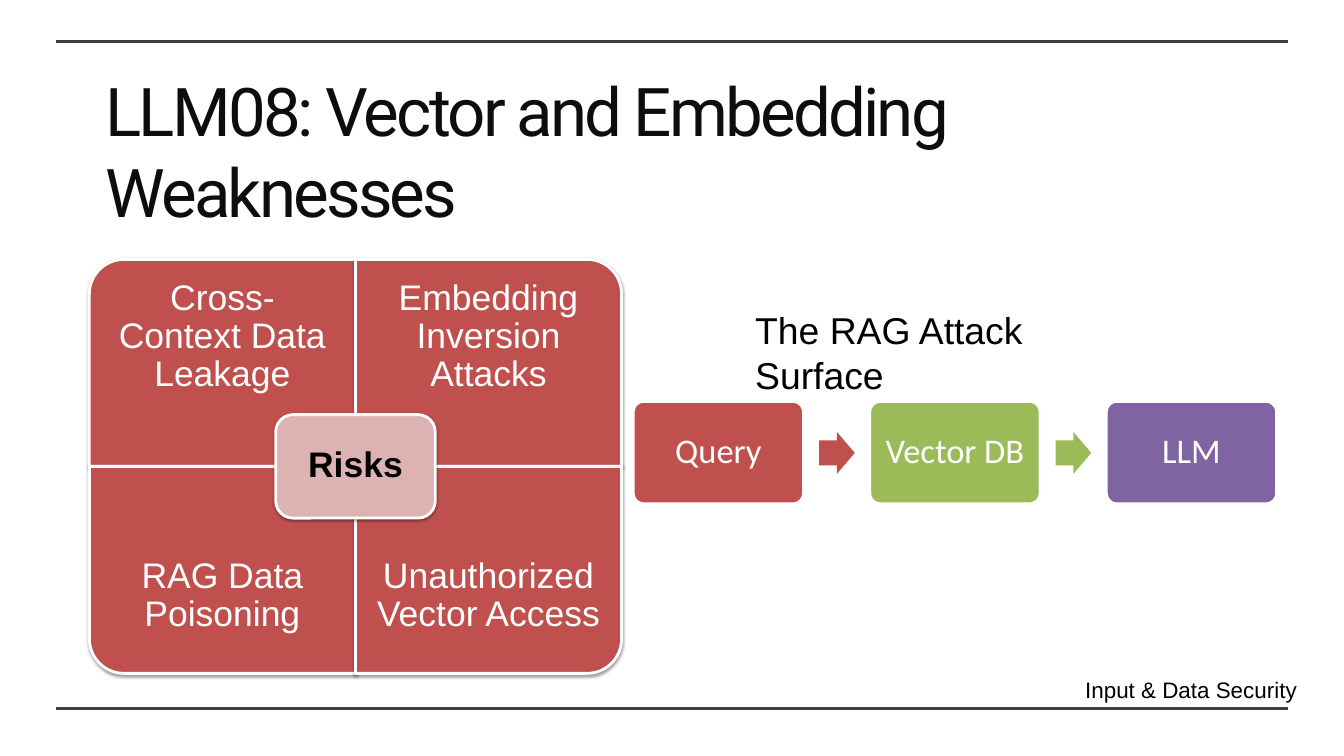
from lxml import etree
from pptx import Presentation
from pptx.dml.color import RGBColor
from pptx.enum.shapes import MSO_CONNECTOR, MSO_SHAPE
from pptx.enum.text import MSO_ANCHOR, PP_ALIGN
from pptx.oxml import parse_xml
from pptx.oxml.ns import nsdecls, qn
from pptx.util import Inches, Pt

BLACK = RGBColor(0x00, 0x00, 0x00)
INK = RGBColor(0x0D, 0x0D, 0x0D)
RULE_GRAY = RGBColor(0x40, 0x40, 0x40)
WHITE = RGBColor(0xFF, 0xFF, 0xFF)
RED = RGBColor(0xC0, 0x50, 0x4D)
PINK = RGBColor(0xDC, 0xB3, 0xB2)
GREEN = RGBColor(0x9B, 0xBB, 0x59)
PURPLE = RGBColor(0x80, 0x64, 0xA2)

STRAIGHT = MSO_CONNECTOR.STRAIGHT
ONE_ROUND = MSO_SHAPE.ROUND_1_RECTANGLE
ROUNDED = MSO_SHAPE.ROUNDED_RECTANGLE
ARROW = MSO_SHAPE.RIGHT_ARROW
MIDDLE = MSO_ANCHOR.MIDDLE
CENTER = PP_ALIGN.CENTER

SHADOW = (
    f'<a:outerShdw {nsdecls("a")} blurRad="40000" dist="20000" dir="5400000" '
    'rotWithShape="0"><a:srgbClr val="000000"><a:alpha val="38000"/>'
    '</a:srgbClr></a:outerShdw>'
)


class SlideBuilder:
    title_font = "Roboto"
    body_font = "Arial"
    flow_font = "Calibri"

    def __init__(self, page):
        self.page = page

    def rule(self, top):
        line = self.page.shapes.add_connector(
            STRAIGHT, Inches(0.83), Inches(top), Inches(19.17), Inches(top))
        line.line.color.rgb = RULE_GRAY
        line.line.width = Pt(3)
        etree.SubElement(line._element.spPr, qn("a:effectLst"))

    def shape(self, kind, left, top, width, height, fill, outline=None,
              shadow=False, adjustments=()):
        shape = self.page.shapes.add_shape(
            kind, Inches(left), Inches(top), Inches(width), Inches(height))
        for index, value in enumerate(adjustments):
            shape.adjustments[index] = value
        shape.fill.solid()
        shape.fill.fore_color.rgb = fill
        if outline:
            shape.line.color.rgb = WHITE
            shape.line.width = Pt(outline)
        else:
            shape.line.fill.background()
        shape.shadow.inherit = False
        if shadow:
            effects = shape._element.spPr.find(qn("a:effectLst"))
            effects.append(parse_xml(SHADOW))
        return shape

    def set_text(self, shape, text, size, color, font=body_font, bold=False):
        """Put one paragraph in a shape and return its run."""
        shape.text_frame.text = text
        span = shape.text_frame.paragraphs[0].runs[0]
        span.font.size = Pt(size)
        span.font.name = font
        span.font.bold = bold
        span.font.color.rgb = color
        return span

    def label(self, shape, text, size, color, inset, **style):
        """Set centred text with an equal inset on all sides."""
        self.set_text(shape, text, size, color, **style)
        frame = shape.text_frame
        frame.word_wrap = True
        frame.vertical_anchor = MIDDLE
        frame.margin_left = frame.margin_right = Inches(inset)
        frame.margin_top = frame.margin_bottom = Inches(inset)
        frame.paragraphs[0].alignment = CENTER
        frame.paragraphs[0].line_spacing = 0.9

    def text_box(self, left, top, width, height, wrap=True):
        box = self.page.shapes.add_textbox(
            Inches(left), Inches(top), Inches(width), Inches(height))
        box.text_frame.word_wrap = wrap
        return box

    def title(self, text):
        box = self.text_box(1.57, 1.03, 15.18, 2.42)
        frame = box.text_frame
        frame.margin_left = frame.margin_right = 0
        frame.margin_top = frame.margin_bottom = 0
        span = self.set_text(box, text, 72, INK, font=self.title_font)
        span.font._element.set("spc", "-300")

    def risk_matrix(self, center, risks):
        left, top, width, height = 1.33, 3.86, 3.96, 3.08
        text_height = 0.75 * height
        # Each turn puts the rounded corner on the outside of the matrix.
        turns = (270, 0, 180, 90)
        for index, (risk, turn) in enumerate(zip(risks, turns)):
            row, column = divmod(index, 2)
            x, y = left + column * width, top + row * height
            w, h = (height, width) if turn in (90, 270) else (width, height)
            tile = self.shape(ONE_ROUND, x + (width - w) / 2,
                              y + (height - h) / 2, w, h, RED, 3, True)
            tile.rotation = turn
            text_top = y + row * (height - text_height)
            box = self.text_box(x, text_top, width, text_height)
            self.label(box, risk, 38, WHITE, 0.3)
        hub_width, hub_height = 0.6 * width, height / 2
        hub = self.shape(ROUNDED, left + width - hub_width / 2,
                         top + height - hub_height / 2,
                         hub_width, hub_height, PINK, 3, True)
        self.label(hub, center, 38, BLACK, 0.16, bold=True)

    def flow(self, steps):
        left, pitch = 9.43, 3.52
        for index, (name, color) in enumerate(steps):
            x = left + index * pitch
            step = self.shape(ROUNDED, x, 5.98, 2.52, 1.51, color, 2,
                              adjustments=(0.1,))
            self.label(step, name, 37, WHITE, 0.15, font=self.flow_font)
            if index < len(steps) - 1:
                self.shape(ARROW, x + 2.76, 6.43, 0.53, 0.62, color,
                           adjustments=(0.6, 0.5))


def main():
    deck = Presentation()
    deck.slide_width = Inches(20)
    deck.slide_height = Inches(11.25)
    builder = SlideBuilder(deck.slides.add_slide(deck.slide_layouts[6]))

    builder.title("LLM08: Vector and Embedding Weaknesses")
    for top in (0.62, 10.54):
        builder.rule(top)
    footer = builder.text_box(16.05, 10.01, 3.39, 0.5, wrap=False)
    builder.set_text(footer, "Input & Data Security", 24, BLACK)

    builder.risk_matrix("Risks", (
        "Cross-Context Data Leakage",
        "Embedding Inversion Attacks",
        "RAG Data Poisoning",
        "Unauthorized Vector Access",
    ))

    heading = builder.text_box(11.14, 4.52, 6.14, 0.77)
    builder.set_text(heading, "The RAG Attack Surface", 40, BLACK)
    builder.flow((("Query", RED), ("Vector DB", GREEN), ("LLM", PURPLE)))

    deck.save("out.pptx")


if __name__ == "__main__":
    main()
